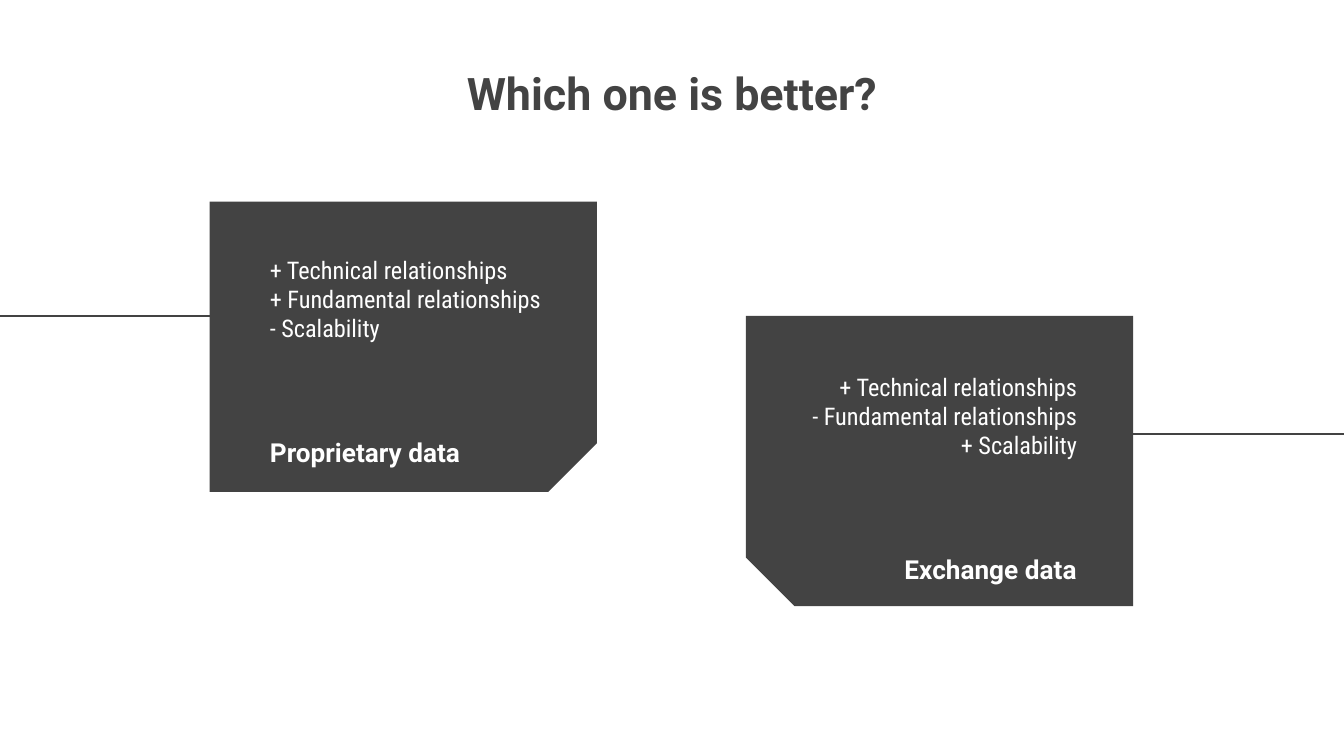
from dataclasses import dataclass

from lxml.etree import SubElement
from pptx import Presentation
from pptx.dml.color import RGBColor
from pptx.enum.shapes import MSO_CONNECTOR, MSO_SHAPE
from pptx.enum.text import MSO_ANCHOR, PP_ALIGN
from pptx.oxml.ns import qn
from pptx.slide import Slide
from pptx.util import Inches, Pt

DARK = "434343"
WHITE = "FFFFFF"
CARD_WIDTH, CARD_HEIGHT = 2.16, 2.88


@dataclass
class TextStyle:
    font: str
    size: float
    color: str
    bold: bool = False
    align: PP_ALIGN = PP_ALIGN.LEFT
    anchor: MSO_ANCHOR = MSO_ANCHOR.TOP


@dataclass
class Option:
    heading: str
    points: list[str]
    card_left: float
    card_top: float
    rotation: int
    flipped: bool
    line_start: float
    line_end: float
    line_y: float
    heading_box: tuple[float, float, float, float]
    points_box: tuple[float, float, float, float]
    align: PP_ALIGN


OPTIONS = [
    Option("Exchange data",
           ["+ Technical relationships", "- Fundamental relationships", "+ Scalability"],
           5.91, 1.99, 270, True, 10, 7.31, 3.23,
           (6.16, 3.98, 1.95, 0.47), (5.75, 2.67, 2.36, 1.1), PP_ALIGN.RIGHT),
    Option("Proprietary data",
           ["+ Technical relationships", "+ Fundamental relationships", "- Scalability"],
           1.92, 1.14, 90, False, 2.65, 0, 2.35,
           (1.91, 3.11, 1.82, 0.47), (1.91, 1.8, 2.36, 1.1), PP_ALIGN.LEFT),
]


def rgb(color: str) -> RGBColor:
    """Turn a hex string into a colour."""
    return RGBColor.from_string(color)


def add_text(page: Slide, lines: list[str], bounds: tuple[float, float, float, float],
             style: TextStyle) -> None:
    """Add a wrapped text box with one paragraph per line."""
    box = page.shapes.add_textbox(*(Inches(length) for length in bounds))
    frame = box.text_frame
    frame.word_wrap = True
    frame.vertical_anchor = style.anchor
    frame.margin_left = frame.margin_right = Inches(0.1)
    frame.margin_top = frame.margin_bottom = Inches(0.1)
    frame.text = "\n".join(lines)
    for para in frame.paragraphs:
        para.alignment = style.align
        for span in para.runs:
            span.font.name = style.font
            span.font.size = Pt(style.size)
            span.font.bold = style.bold
            span.font.color.rgb = rgb(style.color)


def add_card(page: Slide, option: Option) -> None:
    """Add the turned card with its snipped corner."""
    card = page.shapes.add_shape(
        MSO_SHAPE.SNIP_1_RECTANGLE, Inches(option.card_left), Inches(option.card_top),
        Inches(CARD_WIDTH), Inches(CARD_HEIGHT))
    card.adjustments[0] = 0.167
    card.rotation = option.rotation
    if option.flipped:
        card.element.spPr.find(qn("a:xfrm")).set("flipH", "1")
    card.shadow.inherit = False
    card.fill.solid()
    card.fill.fore_color.rgb = rgb(DARK)
    card.line.fill.background()


def add_line(page: Slide, option: Option) -> None:
    """Add the thin line joining the card to the slide edge."""
    line = page.shapes.add_connector(
        MSO_CONNECTOR.STRAIGHT, Inches(option.line_start), Inches(option.line_y),
        Inches(option.line_end), Inches(option.line_y))
    line.line.color.rgb = rgb(DARK)
    line.line.width = Pt(0.75)
    SubElement(line.element.spPr, qn("a:effectLst"))


def main() -> None:
    """Build the comparison slide and save it."""
    deck = Presentation()
    deck.slide_width = Inches(10)
    deck.slide_height = Inches(10) * 9 // 16
    page = deck.slides.add_slide(deck.slide_layouts[6])
    for option in OPTIONS:
        add_card(page, option)
        add_line(page, option)
    add_text(page, ["Which one is better?"], (2.15, 0.39, 5.7, 1.03),
             TextStyle("Roboto", 24, DARK, True, PP_ALIGN.CENTER))
    for option in reversed(OPTIONS):
        add_text(page, [option.heading], option.heading_box,
                 TextStyle("Roboto", 14, WHITE, True, option.align, MSO_ANCHOR.BOTTOM))
        add_text(page, option.points, option.points_box,
                 TextStyle("Roboto Condensed", 13, WHITE, align=option.align))
    deck.save("out.pptx")


if __name__ == "__main__":
    main()
